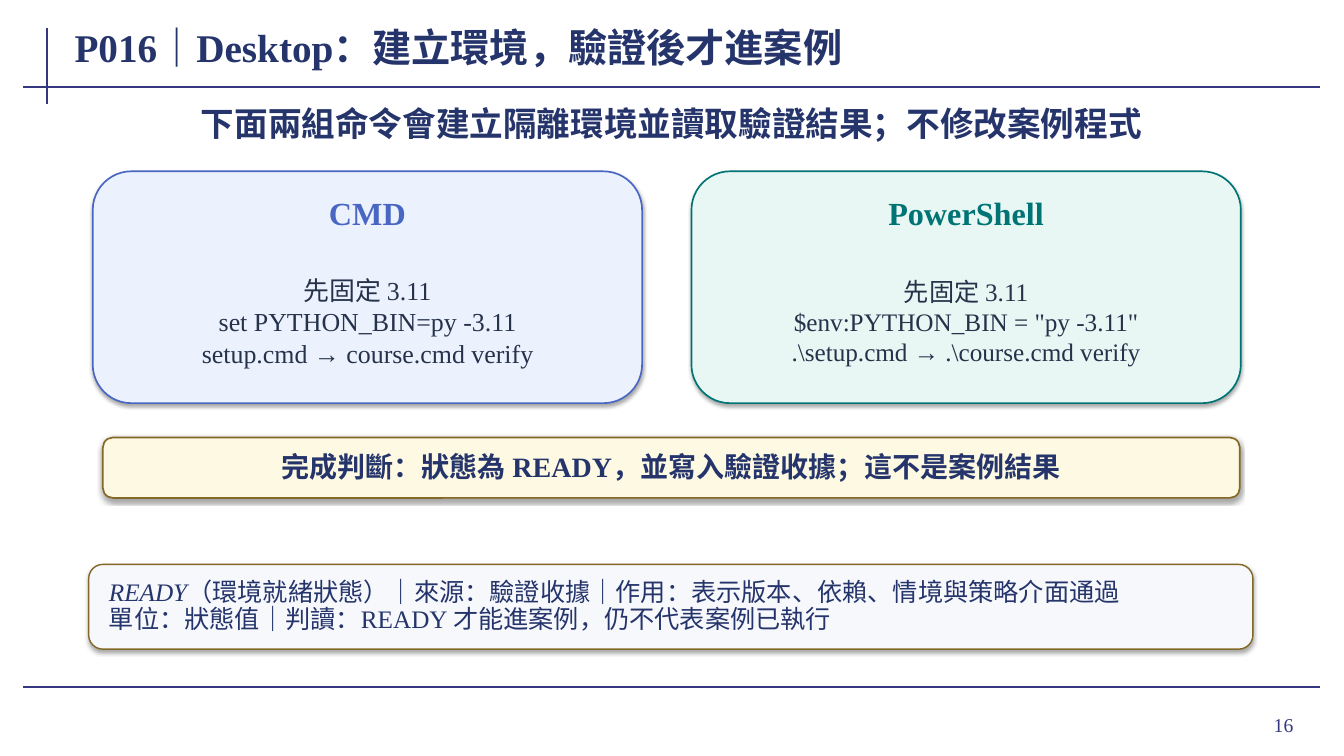
from dataclasses import dataclass

from lxml.etree import SubElement
from pptx import Presentation
from pptx.dml.color import RGBColor
from pptx.enum.shapes import MSO_CONNECTOR, MSO_SHAPE
from pptx.enum.text import MSO_ANCHOR, MSO_AUTO_SIZE, PP_ALIGN
from pptx.oxml.ns import qn
from pptx.shapes.autoshape import Shape
from pptx.slide import Slide
from pptx.util import Pt


@dataclass(frozen=True)
class Theme:
    font: str = "Times New Roman"
    rule: str = "35377F"
    navy: str = "25356B"
    ink: str = "25324A"
    blue: str = "4967C2"
    blue_fill: str = "ECF1FE"
    teal: str = "007374"
    teal_fill: str = "E8F7F4"
    gold: str = "846826"
    gold_fill: str = "FDF9E2"
    note_fill: str = "F7F8FC"
    title: float = 28
    subtitle: float = 24
    heading: float = 23
    banner: float = 20
    note: float = 18
    page: float = 14


@dataclass(frozen=True)
class Box:
    left: float
    top: float
    width: float
    height: float

    def emu(self) -> tuple[Pt, Pt, Pt, Pt]:
        return Pt(self.left), Pt(self.top), Pt(self.width), Pt(self.height)


@dataclass(frozen=True)
class Style:
    size: float
    color: str
    bold: bool = False
    align: PP_ALIGN = PP_ALIGN.CENTER
    spacing: float = 1.0
    inset: tuple[float, float] = (1.44, 0.72)


@dataclass(frozen=True)
class Card:
    heading: str
    commands: str
    size: float
    color: str
    fill: str


@dataclass(frozen=True)
class Rule:
    x1: float
    y1: float
    x2: float
    y2: float


T = Theme()

RULES = [
    Rule(33.84, 20.16, 33.84, 74.16),
    Rule(16.56, 61.92, 943.2, 61.92),
    Rule(16.56, 491.04, 943.2, 491.04),
]

CARDS = [
    Card("CMD",
         "先固定 3.11\nset PYTHON_BIN=py -3.11\nsetup.cmd → course.cmd verify",
         18.5, T.blue, T.blue_fill),
    Card("PowerShell",
         '先固定 3.11\n$env:PYTHON_BIN = "py -3.11"\n.\\setup.cmd → .\\course.cmd verify',
         18, T.teal, T.teal_fill),
]
CARD_LEFT, CARD_TOP, CARD_STEP = 66.24, 122.4, 427.68

TERM = "READY"
NOTE = ("（環境就緒狀態）｜來源：驗證收據｜作用：表示版本、依賴、情境與策略介面通過\n"
        "單位：狀態值｜判讀：READY 才能進案例，仍不代表案例已執行")


def write(s: Shape, text: str, style: Style, term: str = "") -> None:
    tf = s.text_frame
    tf.word_wrap = True
    tf.vertical_anchor = MSO_ANCHOR.MIDDLE
    tf.margin_left = tf.margin_right = Pt(style.inset[0])
    tf.margin_top = tf.margin_bottom = Pt(style.inset[1])
    tf.text = term
    for i, line in enumerate(text.split("\n")):
        p = tf.add_paragraph() if i else tf.paragraphs[0]
        p.add_run().text = line
        p.alignment = style.align
        p.line_spacing = style.spacing
        for r in p.runs:
            r.font.name = T.font
            r.font.size = Pt(style.size)
            r.font.bold = style.bold
            r.font.color.rgb = RGBColor.from_string(style.color)
    if term:
        tf.paragraphs[0].runs[0].font.italic = True


def add_text(slide: Slide, box: Box, text: str, style: Style, grow: bool = True) -> None:
    s = slide.shapes.add_textbox(*box.emu())
    write(s, text, style)
    s.text_frame.auto_size = MSO_AUTO_SIZE.SHAPE_TO_FIT_TEXT if grow else MSO_AUTO_SIZE.NONE


def add_panel(slide: Slide, box: Box, fill: str, line: str, width: float = 1.2) -> Shape:
    s = slide.shapes.add_shape(MSO_SHAPE.ROUNDED_RECTANGLE, *box.emu())
    s.fill.solid()
    s.fill.fore_color.rgb = RGBColor.from_string(fill)
    s.line.color.rgb = RGBColor.from_string(line)
    s.line.width = Pt(width)
    s.shadow.inherit = False
    effects = s.element.spPr.find(qn("a:effectLst"))
    shadow = SubElement(effects, qn("a:outerShdw"), blurRad=str(Pt(3.1)),
                        dist=str(Pt(1.8)), dir="5400000", rotWithShape="0")
    color = SubElement(shadow, qn("a:srgbClr"), val="000000")
    SubElement(color, qn("a:alpha"), val="35000")
    return s


def add_rule(slide: Slide, rule: Rule) -> None:
    s = slide.shapes.add_connector(MSO_CONNECTOR.STRAIGHT, Pt(rule.x1), Pt(rule.y1),
                                   Pt(rule.x2), Pt(rule.y2))
    s.line.color.rgb = RGBColor.from_string(T.rule)
    s.line.width = Pt(1.5)
    SubElement(s.element.spPr, qn("a:effectLst"))


def add_card(slide: Slide, card: Card, left: float, top: float) -> None:
    add_panel(slide, Box(left, top, 392.4, 165.6), card.fill, card.color)
    add_text(slide, Box(left + 12.96, top + 14.4, 366.48, 30.24), card.heading,
             Style(T.heading, card.color, bold=True))
    add_text(slide, Box(left + 15.84, top + 63.36, 360.72, 87.84), card.commands,
             Style(card.size, T.ink))


def main() -> None:
    prs = Presentation()
    prs.slide_width, prs.slide_height = Pt(960), Pt(540)
    slide = prs.slides.add_slide(prs.slide_layouts[6])

    for rule in RULES:
        add_rule(slide, rule)
    add_text(slide, Box(861.12, 498.96, 69.84, 37.44), "16",
             Style(T.page, T.rule, align=PP_ALIGN.RIGHT, inset=(7.2, 3.6)), grow=False)
    add_text(slide, Box(51.84, 14.4, 745.2, 38.16), "P016｜Desktop：建立環境，驗證後才進案例",
             Style(T.title, T.navy, bold=True, align=PP_ALIGN.LEFT, inset=(1.44, 0)), grow=False)
    add_text(slide, Box(73.44, 73.44, 812.16, 28.8),
             "下面兩組命令會建立隔離環境並讀取驗證結果；不修改案例程式",
             Style(T.subtitle, T.navy, bold=True))

    for i, card in enumerate(CARDS):
        add_card(slide, card, CARD_LEFT + i * CARD_STEP, CARD_TOP)

    banner = add_panel(slide, Box(73.44, 312.48, 812.16, 43.2), T.gold_fill, T.gold)
    write(banner, "完成判斷：狀態為 READY，並寫入驗證收據；這不是案例結果",
          Style(T.banner, T.navy, bold=True, spacing=0.95, inset=(7.2, 2.88)))
    note = add_panel(slide, Box(63.36, 403.2, 831.6, 60.48), T.note_fill, T.gold, 1)
    write(note, NOTE, Style(T.note, T.navy, align=PP_ALIGN.LEFT, spacing=0.9,
                            inset=(11.52, 2.88)), TERM)

    prs.save("out.pptx")


if __name__ == "__main__":
    main()
